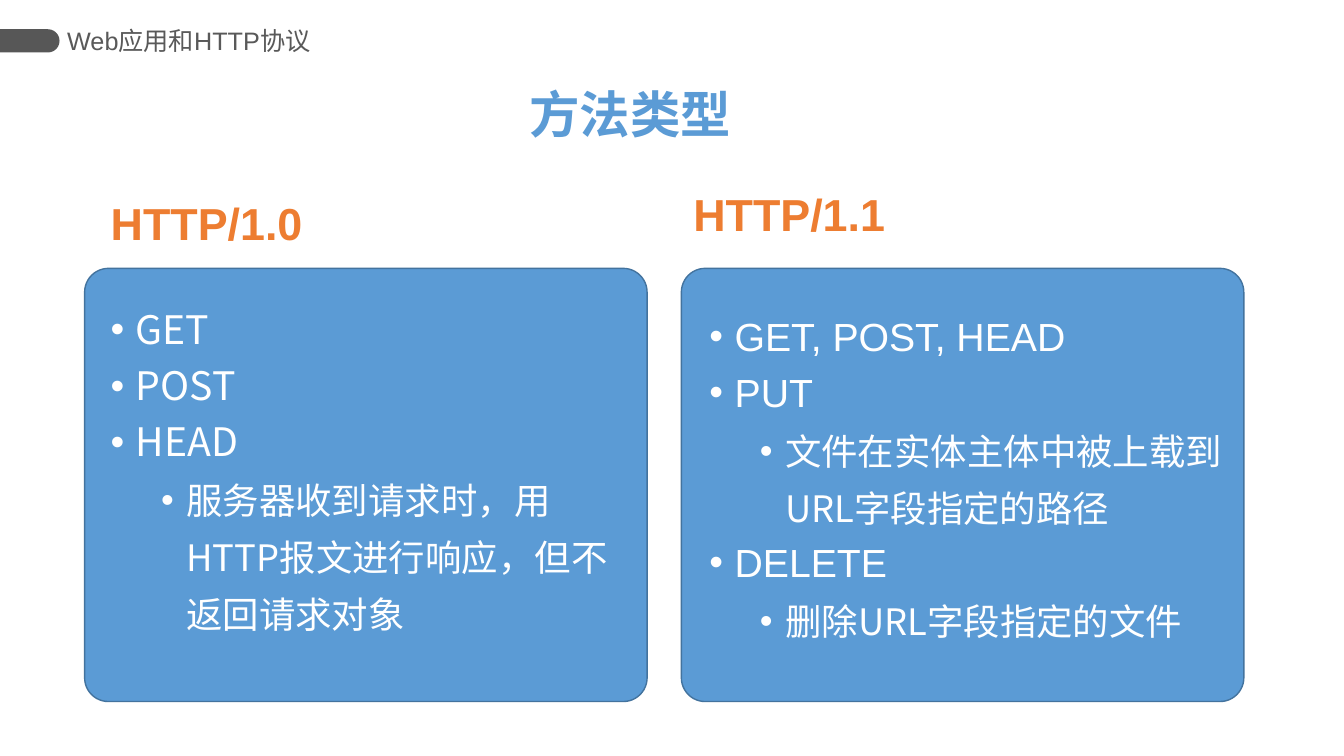
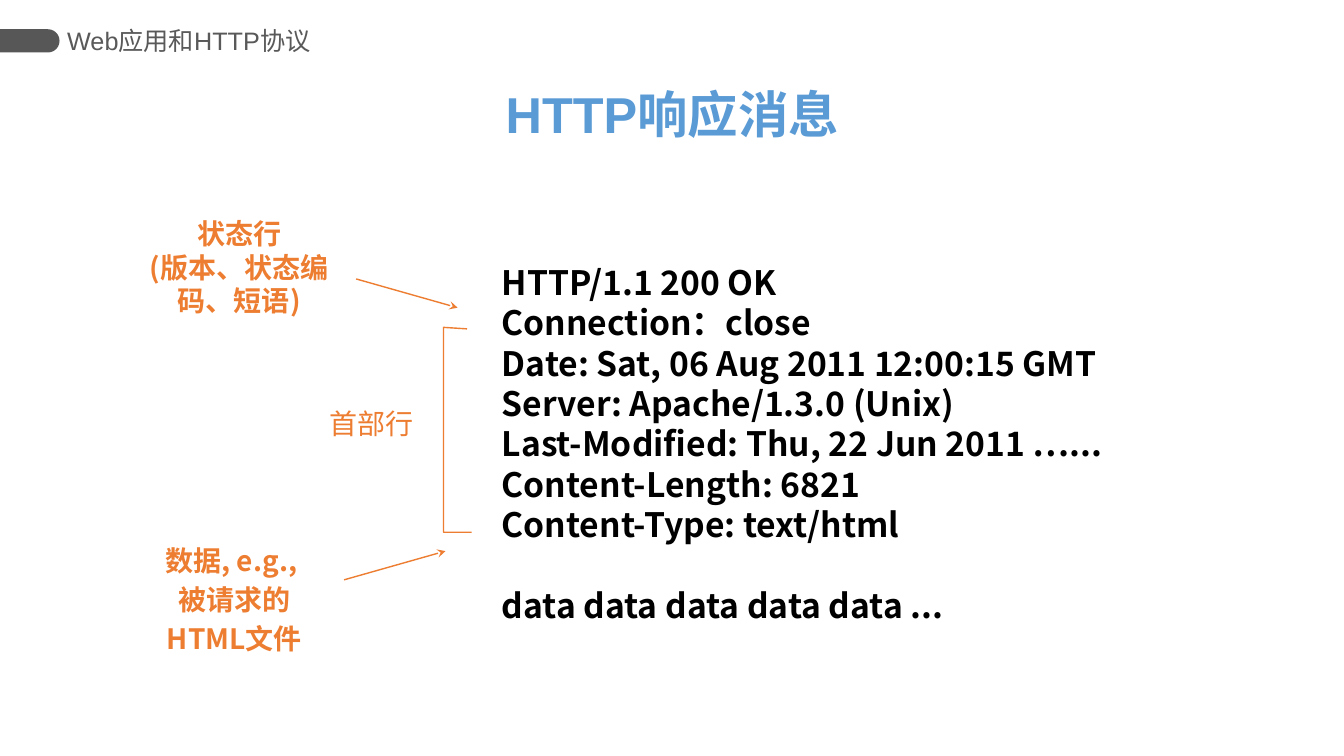
from dataclasses import dataclass

from lxml.etree import SubElement
from pptx import Presentation
from pptx.dml.color import RGBColor
from pptx.enum.shapes import MSO_CONNECTOR as Connector, MSO_SHAPE as Preset
from pptx.enum.text import MSO_ANCHOR as Anchor, PP_ALIGN as Align
from pptx.oxml.ns import qn
from pptx.util import Inches, Pt


@dataclass(frozen=True)
class Theme:
    blue: RGBColor = RGBColor.from_string("5B9BD5")
    blue_edge: RGBColor = RGBColor.from_string("43739E")
    orange: RGBColor = RGBColor.from_string("ED7D31")
    band: RGBColor = RGBColor.from_string("575757")
    gray: RGBColor = RGBColor.from_string("595959")
    white: RGBColor = RGBColor.from_string("FFFFFF")
    black: RGBColor = RGBColor.from_string("000000")
    latin: str = "Arial"
    chinese: str = "Noto Sans CJK SC"
    title: int = 36
    heading: int = 32
    bullet: int = 28
    detail: int = 26
    message: int = 24
    label: int = 20
    section: int = 18


theme = Theme()
presentation = Presentation()
presentation.slide_width = Inches(13.33)
presentation.slide_height = Inches(7.5)
COLUMN = presentation.slide_width / 100
ROW = presentation.slide_height / 100


def grid(*numbers):
    return [round(number * (ROW if index % 2 else COLUMN)) for index, number in enumerate(numbers)]


def write(slide, area, lines, size, color, font=theme.latin, bold=False, align=Align.LEFT):
    text_frame = slide.shapes.add_textbox(*grid(*area)).text_frame
    text_frame.word_wrap = True
    text_frame.text = "\n".join(lines)
    for paragraph in text_frame.paragraphs:
        paragraph.alignment = align
        for run in paragraph.runs:
            run.font.size = Pt(size)
            run.font.bold = bold
            run.font.name = font
            run.font.color.rgb = color
            SubElement(run.font._element, qn("a:ea")).set("typeface", theme.chinese)
    return text_frame


titles = [
    ("方法类型", 38.55, 16.65),
    ("HTTP响应消息", 36.75, 26.55),
]
slides = []
for title, left, width in titles:
    slide = presentation.slides.add_slide(presentation.slide_layouts[6])
    slides.append(slide)

    band = slide.shapes.add_shape(Preset.ROUND_2_SAME_RECTANGLE, *grid(1.35, 1.47, 1.73, 7.87))
    band.rotation = 90
    band.adjustments[0] = 0.5
    band.shadow.inherit = False
    band.fill.solid()
    band.fill.fore_color.rgb = theme.band
    band.line.fill.background()

    section = write(slide, (5, 2.5, 19.75, 5.6), ["Web应用和HTTP协议"], theme.section, theme.gray)
    section.margin_left = section.margin_right = 0
    section.vertical_anchor = Anchor.MIDDLE

    write(slide, (left, 10.4, width, 9.5), [title], theme.title, theme.blue,
          bold=True, align=Align.CENTER)

methods_slide, response_slide = slides

versions = [
    ("HTTP/1.0", (7.5, 25.2, 21.9, 8.5), 6.3, (7.5, 40.4, 39.5, 54.5), theme.chinese, [
        (0, "GET"),
        (0, "POST"),
        (0, "HEAD"),
        (1, "服务器收到请求时，用HTTP报文进行响应，但不返回请求对象"),
    ]),
    ("HTTP/1.1", (50.85, 24, 21.9, 8.5), 50.7, (52.05, 41.3, 41.3, 54.5), theme.latin, [
        (0, "GET, POST, HEAD"),
        (0, "PUT"),
        (1, "文件在实体主体中被上载到URL字段指定的路径"),
        (0, "DELETE"),
        (1, "删除URL字段指定的文件"),
    ]),
]
for version, heading_area, card_left, list_area, font, methods in versions:
    card = methods_slide.shapes.add_shape(Preset.ROUNDED_RECTANGLE, *grid(card_left, 35.5, 41.85, 57.3))
    card.adjustments[0] = 0.055
    card.shadow.inherit = False
    card.fill.solid()
    card.fill.fore_color.rgb = theme.blue
    card.line.color.rgb = theme.blue_edge
    card.line.width = Pt(1)

    write(methods_slide, heading_area, [version], theme.heading, theme.orange, bold=True)

    text_frame = write(methods_slide, list_area, [text for level, text in methods],
                       theme.bullet, theme.white, font)
    for index, (paragraph, (level, text)) in enumerate(zip(text_frame.paragraphs, methods)):
        paragraph.level = level
        paragraph.line_spacing = 1.3 if level else 0.9
        paragraph.space_before = Pt(0 if level or index == 0 else 10)
        properties = paragraph._p.get_or_add_pPr()
        properties.set("marL", str(Inches(0.75 if level else 0.25)))
        properties.set("indent", str(Inches(-0.25)))
        SubElement(properties, qn("a:buFont")).set("typeface", theme.latin)
        SubElement(properties, qn("a:buChar")).set("char", "•")
        if level:
            paragraph.runs[0].font.size = Pt(theme.detail)
            paragraph.runs[0].font.name = theme.chinese

message = write(response_slide, (36.6, 34, 56.55, 49.9), [
    "HTTP/1.1 200 OK",
    "Connection：close",
    "Date: Sat, 06 Aug 2011 12:00:15 GMT",
    "Server: Apache/1.3.0 (Unix)",
    "Last-Modified: Thu, 22 Jun 2011 …...",
    "Content-Length: 6821",
    "Content-Type: text/html",
    "data data data data data ...",
], theme.message, theme.black, theme.chinese, bold=True)
message.paragraphs[-1].space_before = Pt(28.8)

labels = [
    ((10, 28, 15.6, 14.8), ["状态行", "(版本、状态编码、短语)"], True, 0),
    ((23.7, 53.1, 7.9, 5.9), ["首部行"], False, 0),
    ((8.55, 71.2, 17.8, 16.7), ["数据, e.g., ", "被请求的", "HTML文件"], True, 4),
]
for area, lines, bold, gap in labels:
    label = write(response_slide, area, lines, theme.label, theme.orange, theme.chinese, bold, Align.CENTER)
    for paragraph in label.paragraphs[1:]:
        paragraph.space_before = Pt(gap)

for ends in [(26.5, 36.9, 34.05, 40.7), (25.6, 76.7, 33.15, 72.9)]:
    arrow = response_slide.shapes.add_connector(Connector.STRAIGHT, *grid(*ends))
    arrow.line.color.rgb = theme.orange
    arrow.line.width = Pt(1)
    SubElement(arrow.line._get_or_add_ln(), qn("a:tailEnd")).set("type", "stealth")
    SubElement(arrow._element.spPr, qn("a:effectLst"))

corners = [grid(*point) for point in [(34.75, 43.5), (33, 43.3), (33, 70.4), (35.1, 70.4)]]
outline = response_slide.shapes.build_freeform(*corners[0])
outline.add_line_segments(corners[1:], close=False)
bracket = outline.convert_to_shape()
bracket.shadow.inherit = False
bracket.fill.background()
bracket.line.color.rgb = theme.orange
bracket.line.width = Pt(1)

presentation.save("out.pptx")
